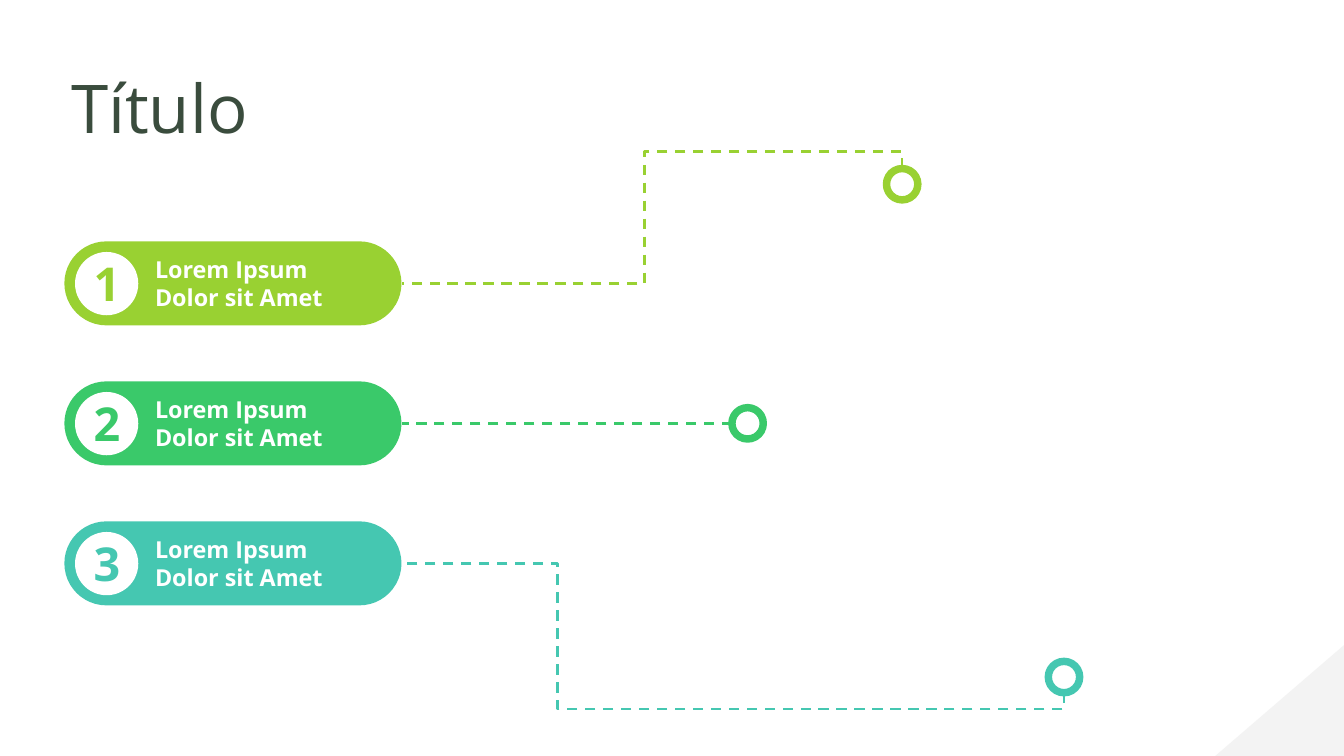
from lxml import etree
from pptx import Presentation
from pptx.dml.color import RGBColor
from pptx.enum.dml import MSO_LINE
from pptx.enum.shapes import MSO_CONNECTOR, MSO_SHAPE
from pptx.enum.text import MSO_ANCHOR, MSO_AUTO_SIZE, PP_ALIGN
from pptx.oxml.ns import qn
from pptx.util import Emu, Pt

PILL = MSO_SHAPE.ROUNDED_RECTANGLE
CIRCLE = MSO_SHAPE.OVAL
TRIANGLE = MSO_SHAPE.ISOSCELES_TRIANGLE
STRAIGHT = MSO_CONNECTOR.STRAIGHT
DASH = MSO_LINE.DASH
TOP = MSO_ANCHOR.TOP
NO_AUTOFIT = MSO_AUTO_SIZE.NONE
LEFT, CENTER = PP_ALIGN.LEFT, PP_ALIGN.CENTER

EMU_PER_PX = 7620
FONT = "Open Sans"
WHITE = "FFFFFF"
PILL_LEFT, PILL_TOP, PILL_WIDTH, PILL_HEIGHT = 115, 431, 602, 150
PITCH = 250
DISC_SIZE = 113
DISC_INSET = 19
RING_SIZE = 56
RIGHT_SIDE = 3

ITEMS = [
    ("99D132", (1583, 301), [(1611, 301), (1611, 271), (1151, 271), (1151, 506)]),
    ("3AC96A", (1307, 728), [(1307, 756)]),
    ("45C7B1", (1872, 1181), [(1900, 1237), (1900, 1266), (996, 1266), (996, 1006)]),
]


def px(length):
    """Turn px into EMU."""
    return Emu(length * EMU_PER_PX)


def color(hex_code):
    """Turn a hex string into a colour."""
    return RGBColor.from_string(hex_code)


def add_filled(slide, kind, box, fill):
    """Add a preset shape with a plain fill and no outline."""
    shape = slide.shapes.add_shape(kind, *map(px, box))
    shape.shadow.inherit = False
    shape.fill.solid()
    shape.fill.fore_color.rgb = color(fill)
    shape.line.fill.background()
    return shape


def write(frame, text, size, ink, bold=False, align=LEFT):
    """Write one formatted paragraph into a text frame."""
    frame.word_wrap = True
    frame.auto_size = NO_AUTOFIT
    frame.vertical_anchor = TOP
    frame.text = text
    paragraph = frame.paragraphs[0]
    paragraph.alignment = align
    font = paragraph.font
    font.name, font.size, font.bold = FONT, Pt(size), bold
    font.color.rgb = color(ink)


def add_label(slide, box, text, size, ink, align=LEFT):
    """Add a bold text box."""
    label = slide.shapes.add_textbox(*map(px, box))
    write(label.text_frame, text, size, ink, True, align)


def style_dashes(line, ink):
    """Give a line the dashed look of the routes."""
    line.color.rgb = color(ink)
    line.width = Pt(2.75)
    line.dash_style = DASH


def add_route(slide, points, pill, ink):
    """Draw a dashed route through the points to the right side of the pill."""
    end = (pill.left + pill.width, pill.top + pill.height // 2)
    start, *bends = [(px(x), px(y)) for x, y in points]
    if bends:
        builder = slide.shapes.build_freeform(*start, scale=1.0)
        builder.add_line_segments([*bends, end], close=False)
        route = builder.convert_to_shape()
        route.shadow.inherit = False
        route.fill.background()
    else:
        route = slide.shapes.add_connector(STRAIGHT, *start, *end)
        route.end_connect(pill, RIGHT_SIDE)
        etree.SubElement(route.element.spPr, qn("a:effectLst"))
    style_dashes(route.line, ink)


def add_ring(slide, corner, ink):
    """Add the ring that marks the far end of a route."""
    ring = add_filled(slide, CIRCLE, (*corner, RING_SIZE, RING_SIZE), WHITE)
    ring.line.color.rgb = color(ink)
    ring.line.width = Pt(8)


def add_item(slide, number, ink, ring_corner, points):
    """Add one numbered pill with its route and ring."""
    top = PILL_TOP + (number - 1) * PITCH
    inner_top = top + DISC_INSET
    pill = add_filled(slide, PILL, (PILL_LEFT, top, PILL_WIDTH, PILL_HEIGHT), ink)
    pill.adjustments[0] = 0.5
    add_label(slide, (265, inner_top, 412, DISC_SIZE), "Lorem Ipsum\vDolor sit Amet", 25, WHITE)
    add_route(slide, points, pill, ink)
    add_ring(slide, ring_corner, ink)
    add_filled(slide, CIRCLE, (PILL_LEFT + DISC_INSET, inner_top, DISC_SIZE, DISC_SIZE), WHITE)
    add_label(slide, (144, inner_top, 94, DISC_SIZE), str(number), 50, ink, CENTER)


def add_corner(slide):
    """Add the translucent triangle in the bottom right corner."""
    corner = add_filled(slide, TRIANGLE, (2170, 1152, 230, 198), "E8E8E8")
    corner.adjustments[0] = 1
    tint = corner.element.spPr.find(qn("a:solidFill"))[0]
    etree.SubElement(tint, qn("a:alpha"), val="50000")


def set_title(slide, text):
    """Place and format the title."""
    title = slide.shapes.title
    title.left, title.top, title.width, title.height = map(px, (115, 113, 605, 157))
    write(title.text_frame, text, 72, "3A4C3D")


def main():
    """Build the slide and save it."""
    presentation = Presentation()
    presentation.slide_width, presentation.slide_height = px(2400), px(1350)
    slide = presentation.slides.add_slide(presentation.slide_layouts[5])
    set_title(slide, "Título")
    for number, (ink, ring_corner, points) in enumerate(ITEMS, 1):
        add_item(slide, number, ink, ring_corner, points)
    add_corner(slide)
    presentation.save("out.pptx")


if __name__ == "__main__":
    main()
